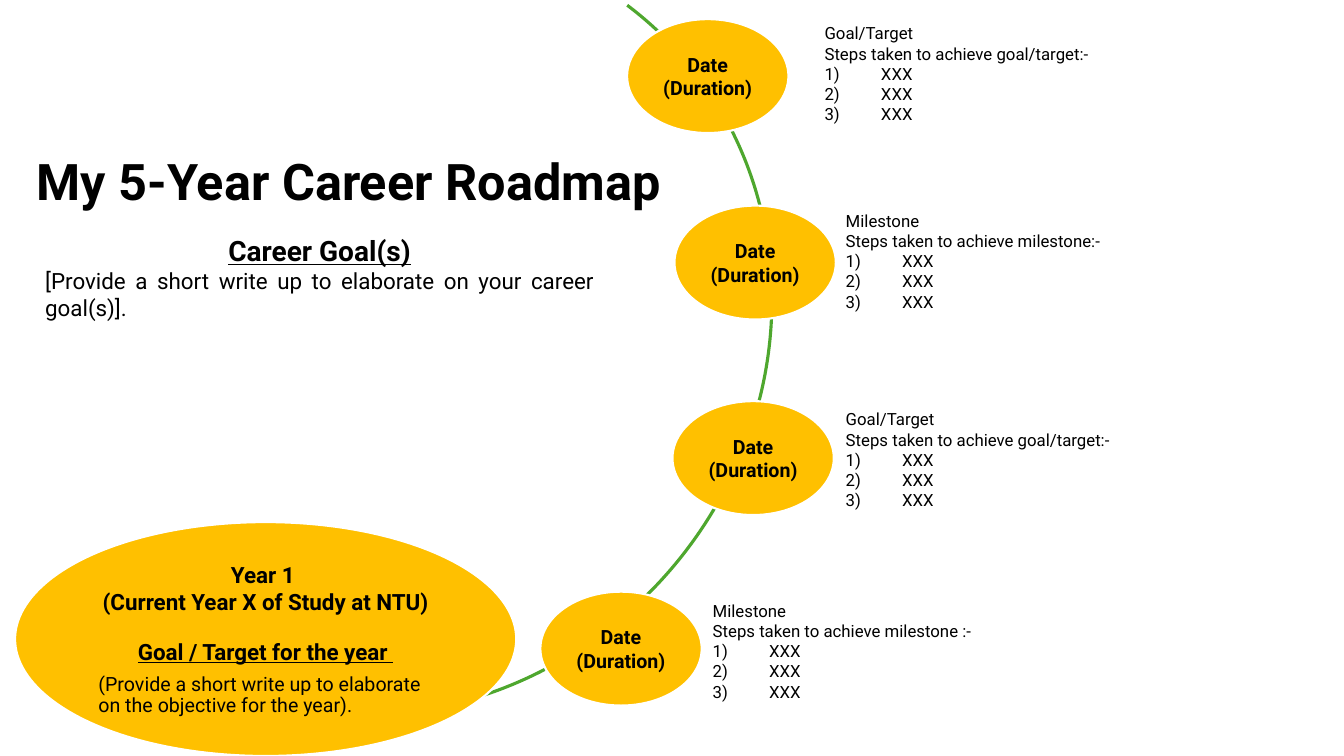
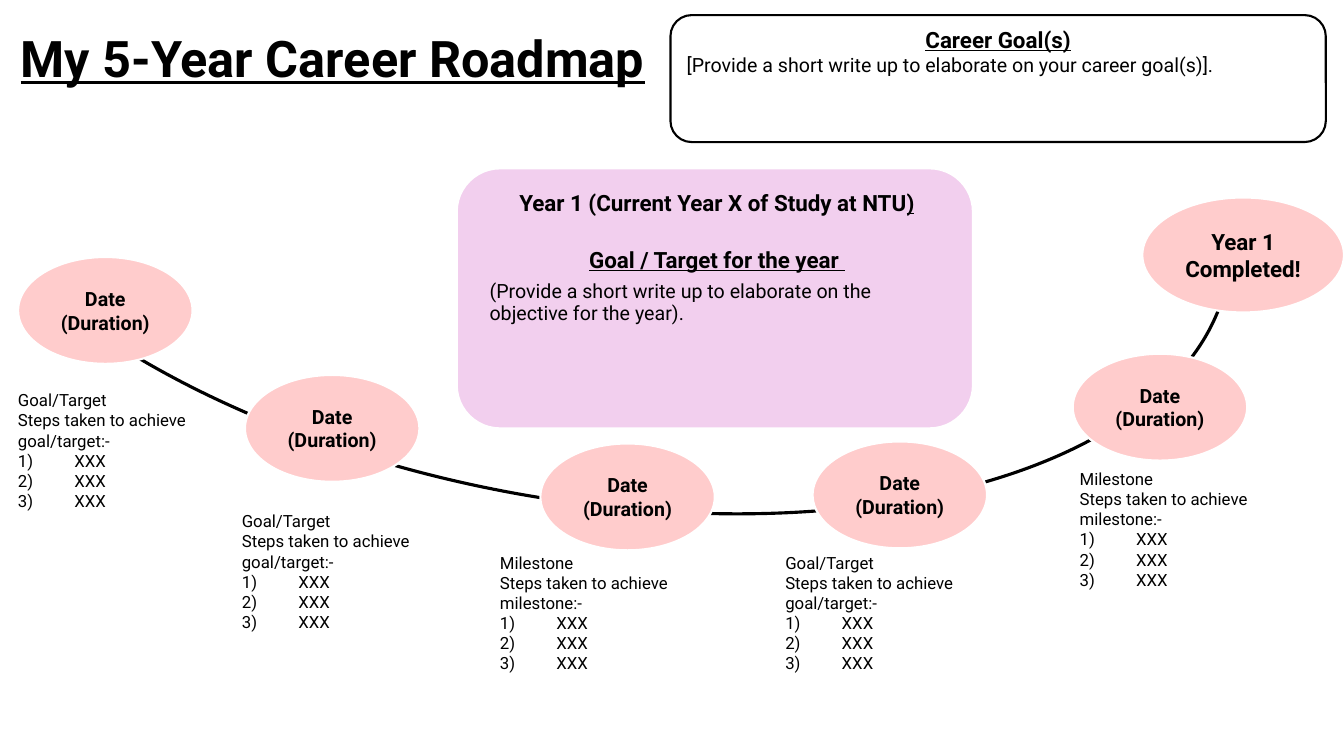
import pptx
import pptx.util
import pptx.dml.color
import pptx.enum.shapes
import pptx.enum.text
import pptx.oxml.ns
import lxml.etree

Inch, Pt = pptx.util.Inches, pptx.util.Pt
Kind = pptx.enum.shapes.MSO_SHAPE
Align = pptx.enum.text.PP_ALIGN
Anchor = pptx.enum.text.MSO_ANCHOR
Fit = pptx.enum.text.MSO_AUTO_SIZE
qn = pptx.oxml.ns.qn

FONT, BLACK, WHITE = "Roboto", "000000", "FFFFFF"
GOLD, GREEN, PINK, LILAC = "FFC000", "4EA72E", "FFCCCC", "F2CFEE"
INSET = (0.1, 0.05, 0.1, 0.05)
INDENT = 0.56

MID = {"alignment": Align.CENTER}
JUST = {"alignment": Align.JUSTIFY}
TIGHT = {"line_spacing": 0.9, "space_after": Pt(6.5)}
STYLES = {
    "title": ({"size": Pt(36), "bold": True}, MID),
    "title line": ({"size": Pt(36), "bold": True, "underline": True}, MID),
    "date": ({"size": Pt(14), "bold": True}, MID),
    "year": ({"size": Pt(16), "bold": True}, MID),
    "goal": ({"size": Pt(16), "bold": True, "underline": True}, MID),
    "big goal": ({"size": Pt(20), "bold": True, "underline": True}, MID),
    "target": ({"size": Pt(16), "bold": True, "underline": True},
               {**MID, **TIGHT, "space_before": Pt(18.8)}),
    "low target": ({"size": Pt(16), "bold": True, "underline": True},
                   {**MID, **TIGHT, "space_before": Pt(23.4)}),
    "aim": ({"size": Pt(14), "bold": False}, TIGHT),
    "write": ({"size": Pt(14), "bold": False}, JUST),
    "big write": ({"size": Pt(16), "bold": False}, JUST),
    "note": ({"size": Pt(12), "bold": False}, {}),
    "step": ({"size": Pt(12), "bold": False}, {}),
}

TITLE = "My 5-Year Career Roadmap"
CAREER = "Career Goal(s)"
WRITE = "[Provide a short write up to elaborate on your career goal(s)]. "
TARGET = "Goal / Target for the year "
AIM = "(Provide a short write up to elaborate on the objective for the year)."
DATE = [("date", "Date"), ("date", "(Duration)")]

SLIDES = [
    {
        "title": ("title", (0.11, 1.44, 6.7, 0.71), Anchor.TOP),
        "arc": ((0.02, -0.78, 7.53, 7.98), 42.8, (158.91, 33.32), GREEN),
        "oval": (1.6, 1.13, GOLD),
        "stops": [
            ((6.22, 0.19), (8.08, 0.18, 4.7, 1.51), "Goal/Target", ":-"),
            ((6.69, 2.04), (8.29, 2.04, 4.7, 1.51), "Milestone", ":-"),
            ((6.67, 3.98), (8.29, 4.01, 4.7, 1.51), "Goal/Target", ":-"),
            ((5.36, 5.87), (6.97, 5.91, 4.72, 1.31), "Milestone", " :-"),
        ],
        "boxes": [
            (Kind.RECTANGLE, (0.35, 1.94, 5.64, 1.51), WHITE, None, Anchor.TOP,
             (0.1, 0.38, 0.1, 0.05), [("big goal", CAREER), ("big write", WRITE)]),
            (Kind.OVAL, (0.15, 5.18, 4.97, 2.32), GOLD, WHITE, Anchor.MIDDLE, INSET,
             [("year", "Year 1 "), ("year", "(Current Year X of Study at NTU)"),
              ("target", TARGET), ("aim", AIM)]),
        ],
    },
    {
        "title": ("title line", (-0.05, 0.15, 6.7, 0.84), Anchor.MIDDLE),
        "arc": ((2.22, -5.14, 6.85, 13.3), 100.8, (163.42, 39.22), BLACK),
        "oval": (1.73, 1.06, PINK),
        "stops": [
            ((0.18, 2.55), (0.08, 3.82, 2.08, 1.72), "Goal/Target", ":-"),
            ((2.43, 3.72), (2.3, 5.02, 2.38, 1.72), "Goal/Target", ":-"),
            ((5.36, 4.4), (4.86, 5.43, 2.65, 1.72), "Milestone", ":-"),
            ((8.06, 4.38), (7.69, 5.43, 2.55, 1.72), "Goal/Target", ":-"),
            ((10.64, 3.51), (10.61, 4.6, 2.67, 1.72), "Milestone", ":-"),
        ],
        "boxes": [
            (Kind.ROUNDED_RECTANGLE, (4.53, 1.67, 5.12, 2.58), LILAC, WHITE, Anchor.TOP,
             (0.2, 0.08, 0.16, 0.07),
             [("year", "Year 1 (Current Year X of Study at NTU", ")"),
              ("low target", TARGET), ("aim", AIM)]),
            (Kind.ROUNDED_RECTANGLE, (6.65, 0.15, 6.5, 1.26), WHITE, BLACK, Anchor.TOP,
             INSET, [("goal", CAREER), ("write", WRITE)]),
            (Kind.OVAL, (11.33, 1.96, 2, 1.14), PINK, WHITE, Anchor.MIDDLE, INSET,
             [("year", "Year 1 Completed!")]),
        ],
    },
]


def color(code):
    return pptx.dml.color.RGBColor.from_string(code)


def assign(thing, values):
    for name, value in values.items():
        setattr(thing, name, value)


def number(para):
    props = para._p.get_or_add_pPr()
    props.set("marL", str(Inch(INDENT)))
    props.set("indent", str(-Inch(INDENT)))
    lxml.etree.SubElement(props, qn("a:buAutoNum"), type="arabicParenR")


def fill_text(shape, lines, anchor=Anchor.TOP, inset=INSET):
    frame = shape.text_frame
    sides = ("margin_left", "margin_top", "margin_right", "margin_bottom")
    assign(frame, {"word_wrap": True, "auto_size": Fit.NONE, "vertical_anchor": anchor,
                   **{side: Inch(gap) for side, gap in zip(sides, inset)}})
    for row, (style, *texts) in enumerate(lines):
        para = frame.add_paragraph() if row else frame.paragraphs[0]
        font, layout = STYLES[style]
        assign(para, {"alignment": Align.LEFT, **layout})
        if style == "step":
            number(para)
        for part, text in enumerate(texts):
            run = para.add_run()
            run.text = text
            assign(run.font, {"name": FONT, **font})
            if part:
                run.font.underline = True
            run.font.color.rgb = color(BLACK)


def add_form(slide, kind, area, fill, line, width=1.5):
    shape = slide.shapes.add_shape(kind, *map(Inch, area))
    shape.shadow.inherit = False
    if fill:
        shape.fill.solid()
        shape.fill.fore_color.rgb = color(fill)
    else:
        shape.fill.background()
    if line:
        shape.line.color.rgb = color(line)
        shape.line.width = Pt(width)
    else:
        shape.line.fill.background()
    return shape


def add_arc(slide, area, turn, ends, line):
    arc = add_form(slide, Kind.ARC, area, None, line, 2.25)
    arc.rotation = turn
    for spot, end in enumerate(ends):
        arc.adjustments[spot] = end


def add_stop(slide, oval, place, area, name, tail):
    width, height, fill = oval
    form = add_form(slide, Kind.OVAL, (*place, width, height), fill, WHITE)
    fill_text(form, DATE, Anchor.MIDDLE)
    note = slide.shapes.add_textbox(*map(Inch, area))
    steps = f"Steps taken to achieve {name.lower()}{tail}"
    fill_text(note, [("note", name), ("note", steps)] + [("step", "XXX")] * 3)


def add_title(slide, style, area, anchor):
    title = slide.shapes.title
    assign(title, dict(zip(("left", "top", "width", "height"), map(Inch, area))))
    fill_text(title, [(style, TITLE)], anchor)
    title._element.getparent().append(title._element)


def main():
    deck = pptx.Presentation()
    assign(deck, {"slide_width": Inch(13.33), "slide_height": Inch(7.5)})
    for page in SLIDES:
        slide = deck.slides.add_slide(deck.slide_layouts[5])
        add_arc(slide, *page["arc"])
        for stop in page["stops"]:
            add_stop(slide, page["oval"], *stop)
        for kind, area, fill, line, anchor, inset, lines in page["boxes"]:
            fill_text(add_form(slide, kind, area, fill, line), lines, anchor, inset)
        add_title(slide, *page["title"])
    deck.save("out.pptx")


if __name__ == "__main__":
    main()
